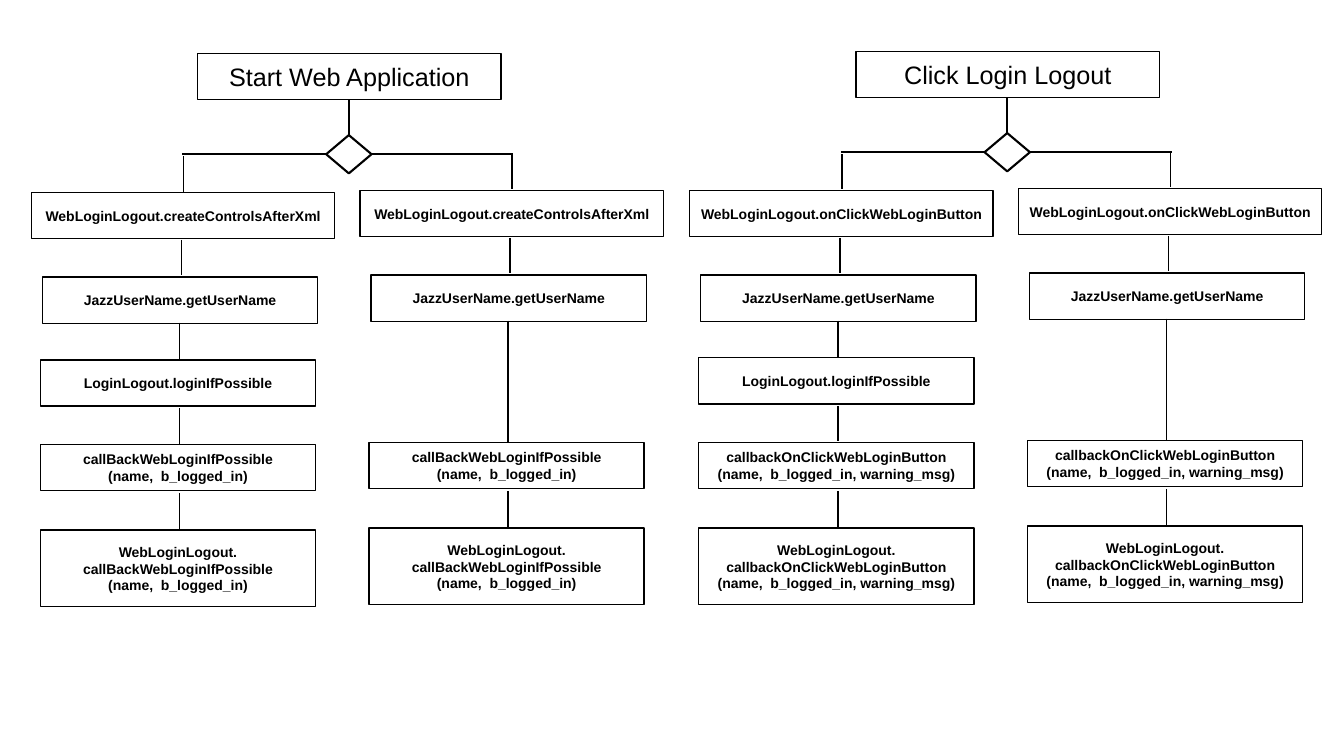
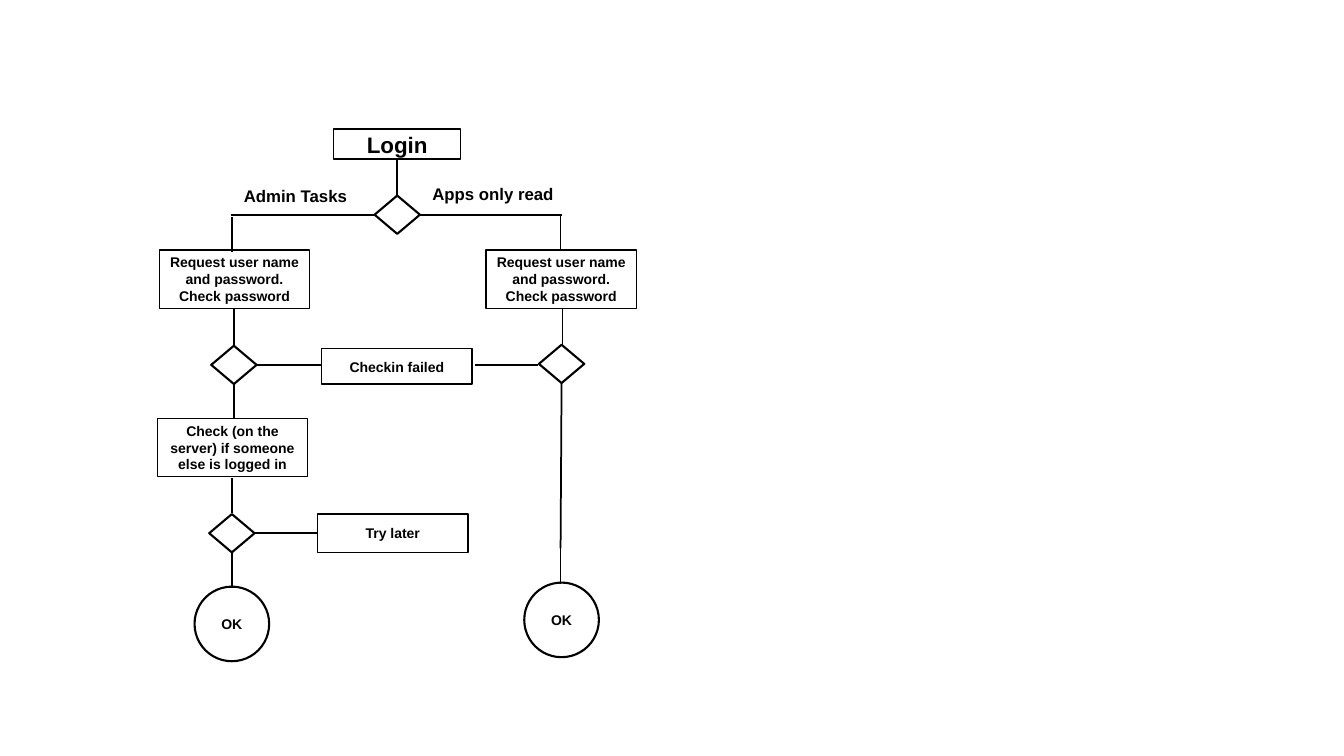
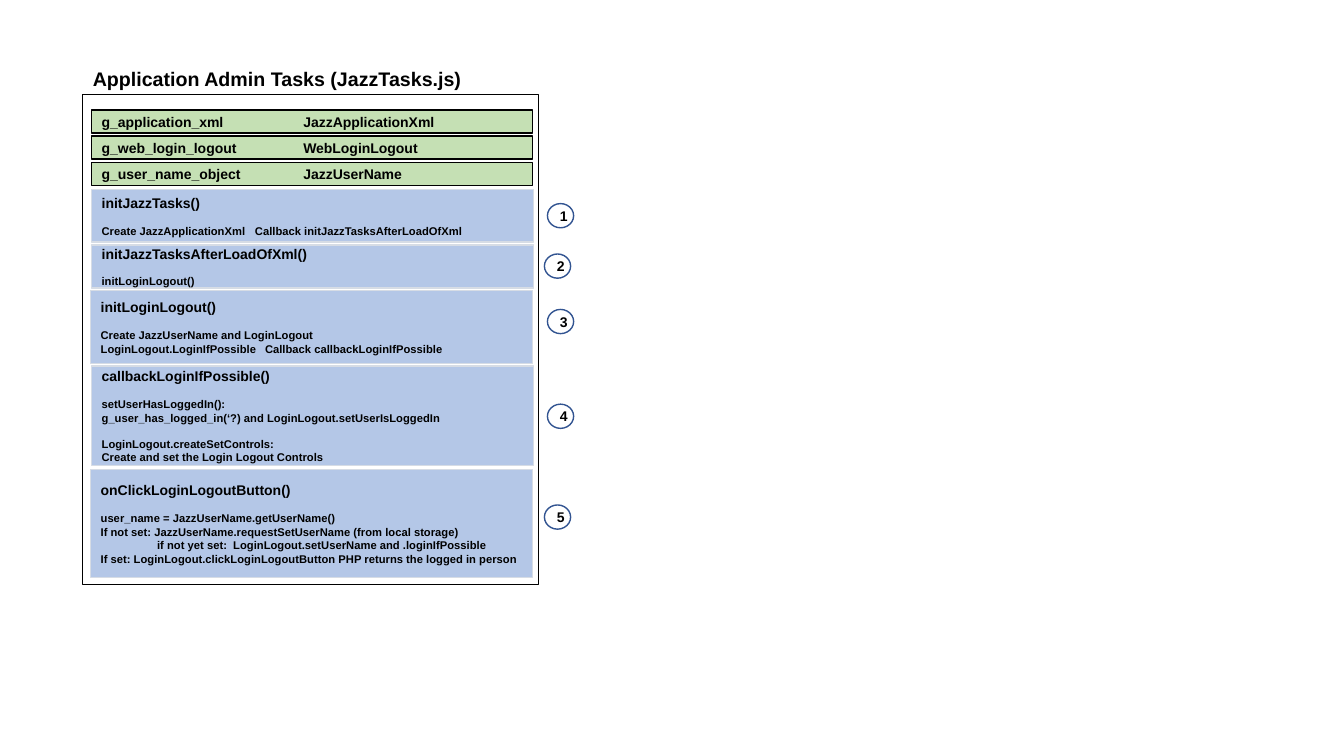
from dataclasses import dataclass

from lxml import etree
from pptx import Presentation
from pptx.dml.color import RGBColor
from pptx.enum.shapes import MSO_CONNECTOR, MSO_SHAPE
from pptx.enum.text import MSO_ANCHOR, MSO_AUTO_SIZE, PP_ALIGN
from pptx.oxml.ns import qn
from pptx.slide import Slide
from pptx.text.text import TextFrame
from pptx.util import Inches, Pt

RECT = MSO_SHAPE.RECTANGLE
OVAL = MSO_SHAPE.OVAL
DIAMOND = MSO_SHAPE.DIAMOND
STRAIGHT = MSO_CONNECTOR.STRAIGHT
LEFT = PP_ALIGN.LEFT
CENTER = PP_ALIGN.CENTER
TOP = MSO_ANCHOR.TOP
MIDDLE = MSO_ANCHOR.MIDDLE
FIXED = MSO_AUTO_SIZE.NONE

BLACK = RGBColor(0x00, 0x00, 0x00)
GREEN = RGBColor(0xC5, 0xE0, 0xB4)
BLUE = RGBColor(0xB4, 0xC7, 0xE7)
PALE = RGBColor(0xD6, 0xDC, 0xE5)
NAVY = RGBColor(0x32, 0x54, 0x91)
FONT = "Arial"
GAP = 9.2
ROW = 0.46
GEM_W, GEM_H = 0.45, 0.38


@dataclass(frozen=True)
class Para:
    text: str
    size: float = 10
    bold: bool = True
    gap: float = 0
    indent: float = 0
    tab: float = 0


@dataclass(frozen=True)
class Box:
    x: float
    y: float
    w: float
    h: float
    paras: tuple[Para, ...] = ()
    kind: int = RECT
    fill: RGBColor | None = None
    edge: RGBColor = BLACK
    weight: float = 1
    align: int = CENTER


@dataclass(frozen=True)
class Half:
    x: float
    y: float
    title: str
    head: str
    call: tuple[str, str]


@dataclass(frozen=True)
class Task:
    x: float
    y: float
    h: float
    mark_x: float
    mark_y: float
    paras: tuple[Para, ...]


def lines(*texts: str) -> tuple[Para, ...]:
    return tuple(Para(text) for text in texts)


def small(text: str, gap: float = 0, indent: float = 0, tab: float = 0) -> Para:
    return Para(text, 8, True, gap, indent, tab)


def write(frame: TextFrame, paras: tuple[Para, ...], align: int, anchor: int) -> None:
    frame.word_wrap = True
    frame.auto_size = FIXED
    frame.vertical_anchor = anchor
    for i, item in enumerate(paras):
        para = frame.add_paragraph() if i else frame.paragraphs[0]
        para.alignment = align
        para.space_before = Pt(item.gap)
        props = para._p.get_or_add_pPr()
        if item.indent:
            props.set("marL", str(Inches(item.indent)))
        if item.tab:
            stops = etree.SubElement(props, qn("a:tabLst"))
            etree.SubElement(stops, qn("a:tab"), pos=str(Inches(item.tab)), algn="l")
        run = para.add_run()
        run.text = item.text
        font = run.font
        font.name, font.size, font.bold = FONT, Pt(item.size), item.bold
        font.color.rgb = BLACK


def draw(slide: Slide, box: Box) -> None:
    shape = slide.shapes.add_shape(
        box.kind, Inches(box.x), Inches(box.y), Inches(box.w), Inches(box.h))
    shape.shadow.inherit = False
    if box.fill is None:
        shape.fill.background()
    else:
        shape.fill.solid()
        shape.fill.fore_color.rgb = box.fill
    shape.line.color.rgb = box.edge
    shape.line.width = Pt(box.weight)
    if box.paras:
        write(shape.text_frame, box.paras, box.align, MIDDLE)


def link(slide: Slide, x1: float, y1: float, x2: float, y2: float) -> None:
    line = slide.shapes.add_connector(
        STRAIGHT, Inches(x1), Inches(y1), Inches(x2), Inches(y2))
    line.line.color.rgb = BLACK
    line.line.width = Pt(1.25)
    etree.SubElement(line._element.spPr, qn("a:effectLst"))


def label(slide: Slide, x: float, y: float, text: str) -> None:
    box = slide.shapes.add_textbox(Inches(x), Inches(y), Inches(1.44), Inches(0.3))
    write(box.text_frame, (Para(text, 12),), LEFT, TOP)


def gem(slide: Slide, x: float, y: float) -> None:
    draw(slide, Box(x - GEM_W / 2, y - GEM_H / 2, GEM_W, GEM_H,
                    kind=DIAMOND, weight=1.5))


def fork(slide: Slide, x: float, y: float) -> None:
    gem(slide, x, y)
    link(slide, x, y - 0.54, x, y - 0.19)
    link(slide, x - 1.64, y + 0.02, x - 1.64, y + 0.37)
    link(slide, x - 1.65, y, x - 0.22, y)
    link(slide, x + 1.62, y, x + 1.62, y + 0.35)
    link(slide, x + 0.21, y, x + 1.63, y)


def column(slide: Slide, x: float, y: float, half: Half, login: bool) -> None:
    draw(slide, Box(x, y, 3.01, ROW, lines(half.head)))
    steps = [
        (0.11, 0.84, ROW, lines("JazzUserName.getUserName")),
        (0.09, 2.5, ROW, lines(*half.call)),
        (0.09, 3.35, 0.76, lines("WebLoginLogout.", *half.call)),
    ]
    if login:
        steps.append((0.09, 1.66, ROW, lines("LoginLogout.loginIfPossible")))
    for dx, dy, h, paras in steps:
        draw(slide, Box(x + dx, y + dy, 2.73, h, paras))
    joins = [(1.49, 0.47, 0.82), (1.47, 2.98, 3.34)]
    joins += [(1.47, 1.29, 1.65), (1.47, 2.14, 2.49)] if login else [(1.47, 1.29, 2.5)]
    for dx, start, end in joins:
        link(slide, x + dx, y + start, x + dx, y + end)


HALVES = (
    Half(0.31, 0.53, "Start Web Application", "WebLoginLogout.createControlsAfterXml",
         ("callBackWebLoginIfPossible", "(name,  b_logged_in)")),
    Half(6.84, 0.51, "Click Login Logout", "WebLoginLogout.onClickWebLoginButton",
         ("callbackOnClickWebLoginButton", "(name,  b_logged_in, warning_msg)")),
)

ASK = lines("Request user name and password.", "Check password")
STEPS = (
    Box(3.31, 1.28, 1.26, 0.3, (Para("Login", 16),)),
    Box(1.58, 2.48, 1.49, 0.58, ASK),
    Box(4.82, 2.48, 1.49, 0.58, ASK),
    Box(3.19, 3.46, 1.49, 0.35, lines("Checkin failed")),
    Box(1.56, 4.15, 1.49, 0.58, lines("Check (on the server) if someone else is logged in")),
    Box(3.15, 5.1, 1.49, 0.38, lines("Try later")),
    Box(1.93, 5.82, 0.74, 0.74, lines("OK"), OVAL, weight=1.5),
    Box(5.2, 5.78, 0.74, 0.74, lines("OK"), OVAL, weight=1.5),
)
GEMS = ((2.32, 3.62), (5.57, 3.61), (2.3, 5.29))
LINKS = (
    (2.32, 3.07, 2.32, 3.42), (5.58, 3.06, 5.58, 3.41),
    (2.32, 3.81, 2.32, 4.16), (2.54, 3.62, 3.18, 3.62),
    (5.57, 3.8, 5.56, 5.44), (4.71, 3.62, 5.34, 3.62),
    (2.3, 4.74, 2.3, 5.09), (2.3, 5.48, 2.3, 5.83),
    (2.52, 5.29, 3.15, 5.29), (5.56, 5.44, 5.56, 5.79),
)

FIELDS = (
    "g_application_xml\tJazzApplicationXml",
    "g_web_login_logout\tWebLoginLogout",
    "g_user_name_object\tJazzUserName",
)
TASKS = (
    Task(0.91, 1.88, 0.52, 5.43, 2.02, (
        Para("initJazzTasks()"),
        small("Create JazzApplicationXml\tCallback initJazzTasksAfterLoadOfXml", GAP, tab=1.52),
    )),
    Task(0.91, 2.43, 0.43, 5.4, 2.52, (
        Para("initJazzTasksAfterLoadOfXml()"),
        small("initLoginLogout()", GAP),
    )),
    Task(0.9, 2.88, 0.73, 5.43, 3.07, (
        Para("initLoginLogout()"),
        small("Create JazzUserName and LoginLogout", GAP),
        small("LoginLogout.LoginIfPossible\tCallback callbackLoginIfPossible", tab=1.63),
    )),
    Task(0.91, 3.63, 0.99, 5.43, 4.01, (
        Para("callbackLoginIfPossible()"),
        small("setUserHasLoggedIn():", GAP),
        small("g_user_has_logged_in(‘?) and LoginLogout.setUserIsLoggedIn"),
        small("LoginLogout.createSetControls:", GAP),
        small("Create and set the Login Logout Controls"),
    )),
    Task(0.9, 4.66, 1.07, 5.4, 5.01, (
        Para("onClickLoginLogoutButton()"),
        small("user_name = JazzUserName.getUserName()", GAP),
        small("If not set: JazzUserName.requestSetUserName (from local storage)"),
        small("if not yet set:  LoginLogout.setUserName and .loginIfPossible", indent=0.56),
        small("If set: LoginLogout.clickLoginLogoutButton PHP returns the logged in person"),
    )),
)


def flows(slide: Slide) -> None:
    for half in HALVES:
        draw(slide, Box(half.x + 1.65, half.y, 3.01, ROW, (Para(half.title, 18, False),)))
        fork(slide, half.x + 3.15, half.y + 1)
        column(slide, half.x, half.y + 1.38, half, True)
        column(slide, half.x + 3.26, half.y + 1.36, half, False)


def login(slide: Slide) -> None:
    for step in STEPS:
        draw(slide, step)
    fork(slide, 3.94, 2.13)
    label(slide, 2.32, 1.79, "Admin Tasks")
    label(slide, 4.19, 1.77, "Apps only read")
    for x, y in GEMS:
        gem(slide, x, y)
    for ends in LINKS:
        link(slide, *ends)


def tasks(slide: Slide) -> None:
    title = slide.shapes.title
    title.left, title.top = Inches(0.82), Inches(0.61)
    title.width, title.height = Inches(4.21), Inches(0.34)
    write(title.text_frame, (Para("Application Admin Tasks (JazzTasks.js)", 14),), LEFT, TOP)
    draw(slide, Box(0.82, 0.94, 4.52, 4.86))
    for i, field in enumerate(FIELDS):
        draw(slide, Box(0.91, 1.09 + 0.26 * i, 4.37, 0.23, (Para(field, tab=2),),
                        fill=GREEN, align=LEFT))
    for i, task in enumerate(TASKS, 1):
        draw(slide, Box(task.x, task.y, 4.38, task.h, task.paras,
                        fill=BLUE, edge=PALE, align=LEFT))
        draw(slide, Box(task.mark_x, task.mark_y, 0.26, 0.24, lines(str(i)),
                        OVAL, edge=NAVY))


def main() -> None:
    deck = Presentation()
    deck.slide_width, deck.slide_height = Inches(13.33), Inches(7.5)
    blank, titled = deck.slide_layouts[6], deck.slide_layouts[5]
    for layout, build in ((blank, flows), (blank, login), (titled, tasks)):
        build(deck.slides.add_slide(layout))
    deck.save("out.pptx")


if __name__ == "__main__":
    main()
